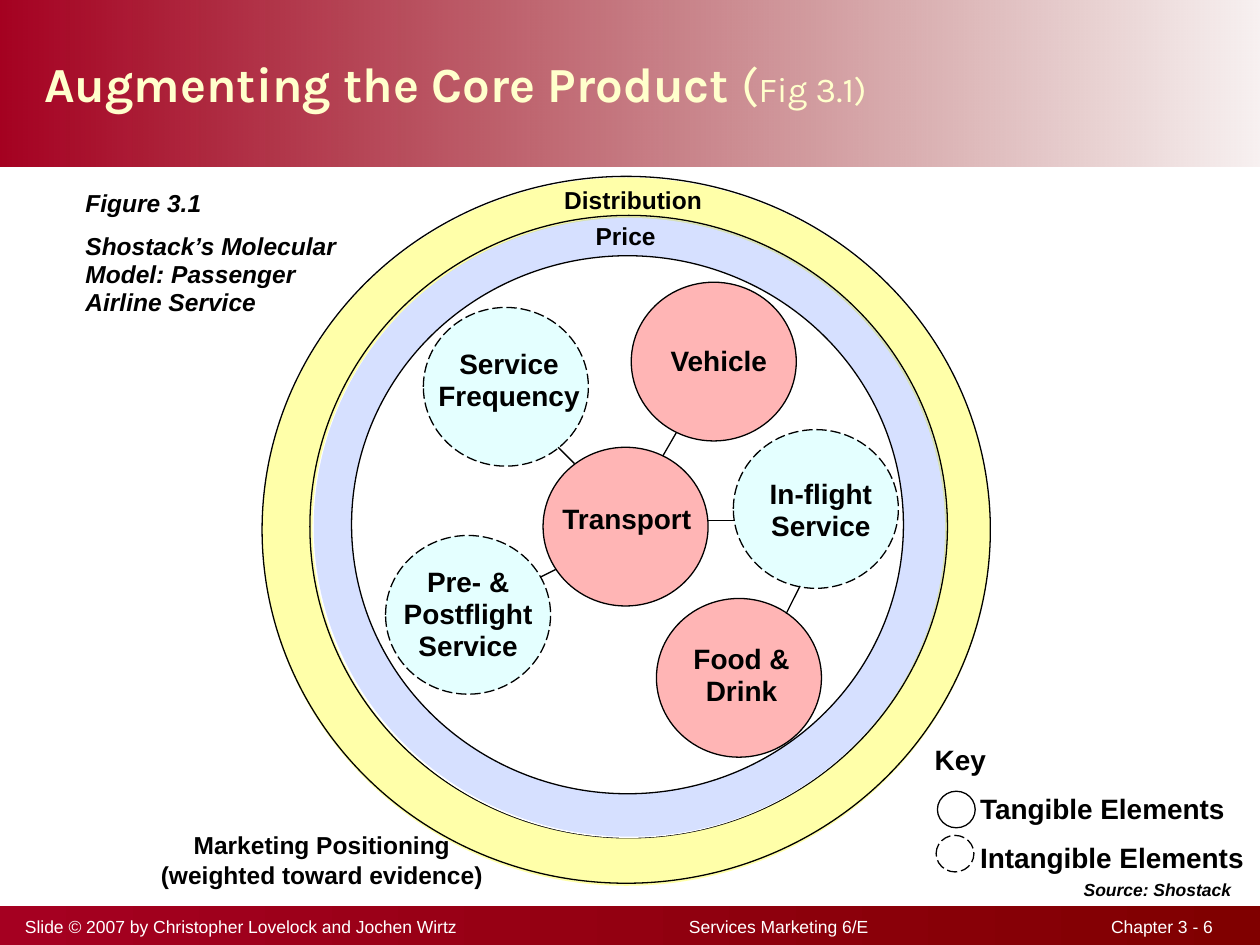
import pptx
import pptx.dml.color
import pptx.enum.dml
import pptx.enum.shapes
import pptx.enum.text
import pptx.oxml.ns
import pptx.util
from lxml import etree

Inches = pptx.util.Inches
Pt = pptx.util.Pt
RGBColor = pptx.dml.color.RGBColor
ALIGN = pptx.enum.text.PP_ALIGN
SHAPE = pptx.enum.shapes.MSO_SHAPE
qn = pptx.oxml.ns.qn

BLACK = RGBColor(0x00, 0x00, 0x00)
WHITE = RGBColor(0xFF, 0xFF, 0xFF)
MAROON = RGBColor(0x80, 0x00, 0x00)
CRIMSON = RGBColor(0xA5, 0x00, 0x21)
CREAM = RGBColor(0xFF, 0xFF, 0xCC)
YELLOW = RGBColor(0xFF, 0xFF, 0x99)
BLUE = RGBColor(0x33, 0x66, 0xFF)
CYAN = RGBColor(0xCC, 0xFF, 0xFF)
RED = RGBColor(0xFF, 0x00, 0x00)

CIRCLE_SIZE = (1.31, 1.26)


def write_text(paragraph, text, size=16, font="Arial", color=BLACK, bold=True, italic=False):
    """Append one formatted run to a paragraph."""
    run = paragraph.add_run()
    run.text = text
    run.font.size = Pt(size)
    run.font.name = font
    run.font.color.rgb = color
    run.font.bold = bold
    run.font.italic = italic


def set_alpha(color_element, percent):
    alpha = etree.SubElement(color_element, qn("a:alpha"))
    alpha.set("val", str(percent * 1000))


class SlideBuilder:
    """Holds the current slide and its shared style."""

    line_width = Pt(0.75)

    def __init__(self, slide):
        self.slide = slide

    def band(self, top, height, start_alpha=100):
        shape = self.slide.shapes.add_shape(
            SHAPE.RECTANGLE, 0, Inches(top), Inches(10), Inches(height))
        shape.shadow.inherit = False
        shape.line.fill.background()
        shape.fill.gradient()
        shape.fill.gradient_angle = 180
        for stop, color in zip(shape.fill.gradient_stops, (MAROON, CRIMSON)):
            stop.color.rgb = color
        shape.fill.gradient_stops[0].position = 0
        shape.fill.gradient_stops[1].position = 1
        if start_alpha < 100:
            set_alpha(next(shape._element.spPr.iter(qn("a:srgbClr"))), start_alpha)

    def title(self, left, top, width, height):
        title = self.slide.shapes.title
        title.left, title.top = Inches(left), Inches(top)
        title.width, title.height = Inches(width), Inches(height)
        frame = title.text_frame
        frame.word_wrap = True
        frame.auto_size = pptx.enum.text.MSO_AUTO_SIZE.NONE
        frame.vertical_anchor = pptx.enum.text.MSO_ANCHOR.MIDDLE
        paragraph = frame.paragraphs[0]
        paragraph.alignment = ALIGN.LEFT
        paragraph.line_spacing = 0.9
        # Bring the title in front of the header band
        self.slide.shapes._spTree.append(title._element)
        return paragraph

    def ellipse(self, left, top, width, height, fill=None, alpha=100, outline=True, dashed=False):
        shape = self.slide.shapes.add_shape(
            SHAPE.OVAL, Inches(left), Inches(top), Inches(width), Inches(height))
        shape.shadow.inherit = False
        if fill is None:
            shape.fill.background()
        else:
            shape.fill.solid()
            shape.fill.fore_color.rgb = fill
            if alpha < 100:
                set_alpha(next(shape._element.spPr.iter(qn("a:srgbClr"))), alpha)
        if outline:
            shape.line.color.rgb = BLACK
            shape.line.width = self.line_width
            if dashed:
                shape.line.dash_style = pptx.enum.dml.MSO_LINE.LONG_DASH
        else:
            shape.line.fill.background()

    def bond(self, x1, y1, x2, y2):
        connector = self.slide.shapes.add_connector(
            pptx.enum.shapes.MSO_CONNECTOR.STRAIGHT,
            Inches(x1), Inches(y1), Inches(x2), Inches(y2))
        connector.line.color.rgb = BLACK
        connector.line.width = self.line_width
        etree.SubElement(connector._element.spPr, qn("a:effectLst"))

    def text(self, left, top, width, height, *lines, align=ALIGN.CENTER, spacing=0.95,
             before=0, wrap=True, indent=0, tabs=(), **text_format):
        """Add a text box; indent applies to every line after the first."""
        box = self.slide.shapes.add_textbox(
            Inches(left), Inches(top), Inches(width), Inches(height))
        frame = box.text_frame
        frame.word_wrap = wrap
        for index, line in enumerate(lines):
            paragraph = frame.add_paragraph() if index else frame.paragraphs[0]
            paragraph.alignment = align
            paragraph.line_spacing = spacing
            properties = paragraph._p.get_or_add_pPr()
            if index:
                paragraph.space_before = Pt(before)
                if indent:
                    properties.set("marL", str(Inches(indent)))
            if tabs:
                tab_list = etree.SubElement(properties, qn("a:tabLst"))
                for position in tabs:
                    etree.SubElement(tab_list, qn("a:tab"), pos=str(Inches(position)), algn="l")
            write_text(paragraph, line, **text_format)


def main():
    presentation = pptx.Presentation()
    presentation.slide_width = Inches(10)
    presentation.slide_height = Inches(7.5)
    builder = SlideBuilder(presentation.slides.add_slide(presentation.slide_layouts[5]))

    # Header, title and footer
    builder.band(0, 1.32, start_alpha=6)
    builder.band(7.19, 0.31)
    builder.text(0.1, 7.22, 9.8, 0.27,
                 "Slide © 2007 by Christopher Lovelock and Jochen Wirtz"
                 "\tServices Marketing 6/E\tChapter 3 - 6",
                 align=ALIGN.LEFT, spacing=1, tabs=(5.27, 8.62),
                 size=10, color=WHITE, bold=False)
    title = builder.title(0.25, 0.03, 7.03, 1.32)
    for text, size, bold in (("Augmenting the Core Product ", 28, True),
                             ("(", 28, False), ("Fig 3.1)", 20, False)):
        write_text(title, text, size=size, font="Karla", color=CREAM, bold=bold)

    # Rings: distribution, price and the white centre
    builder.ellipse(2.08, 1.41, 5.78, 5.62, YELLOW, alpha=84, outline=False)
    builder.ellipse(2.08, 1.4, 5.78, 5.61)
    builder.ellipse(2.46, 1.71, 5.06, 4.94)
    builder.ellipse(2.48, 1.73, 5.02, 4.92, WHITE, outline=False)
    builder.ellipse(2.49, 1.72, 5.02, 4.92, BLUE, alpha=20, outline=False)
    builder.ellipse(2.79, 2.03, 4.38, 4.27, WHITE)
    builder.text(4.13, 1.52, 1.79, 0.22, "Distribution", spacing=0.5, size=14)
    builder.text(4.44, 1.81, 1.05, 0.22, "Price", spacing=0.5, size=14)

    # Service elements: circle position, label box, label, tangible
    elements = (
        ((3.36, 2.44), (3.28, 2.72, 1.52, 0.61), "Service Frequency", False),
        ((3.06, 4.25), (3.02, 4.45, 1.39, 0.86), "Pre- & Postflight Service", False),
        ((5.82, 3.41), (5.82, 3.75, 1.39, 0.61), "In-flight Service", False),
        ((5.21, 4.75), (5.19, 5.06, 1.39, 0.61), "Food & Drink", True),
        ((4.31, 3.55), (4.28, 3.95, 1.39, 0.36), "Transport", True),
        ((5.01, 2.24), (5.01, 2.7, 1.39, 0.36), "Vehicle", True),
    )
    for position, label_box, label, tangible in elements:
        fill, alpha = (RED, 29) if tangible else (CYAN, 53)
        builder.ellipse(*position, *CIRCLE_SIZE, fill, alpha=alpha, dashed=not tangible)
        builder.text(*label_box, label)

    # Bonds between the elements
    for ends in ((4.43, 3.55, 4.56, 3.68), (5.37, 3.43, 5.26, 3.62),
                 (4.29, 4.58, 4.41, 4.52), (5.61, 4.13, 5.83, 4.13),
                 (6.35, 4.65, 6.24, 4.87)):
        builder.bond(*ends)

    # Captions
    builder.text(0.58, 1.46, 2.44, 1.11, "Figure 3.1",
                 "Shostack’s Molecular Model: Passenger Airline Service",
                 align=ALIGN.LEFT, before=8.8, size=14, italic=True)
    builder.text(0.73, 6.64, 3.65, 0.46, "Marketing Positioning",
                 "(weighted toward evidence)", spacing=0.5, before=8.8, size=14)
    builder.text(8.5, 6.94, 1.37, 0.26, "Source: Shostack", wrap=False, size=10, italic=True)

    # Key
    builder.text(7.32, 5.86, 2.68, 1.14, "Key", "Tangible Elements", "Intangible Elements",
                 align=ALIGN.LEFT, before=10, indent=0.36)
    builder.ellipse(7.44, 6.28, 0.3, 0.29)
    builder.ellipse(7.43, 6.63, 0.3, 0.29, dashed=True)

    presentation.save("out.pptx")


if __name__ == "__main__":
    main()
